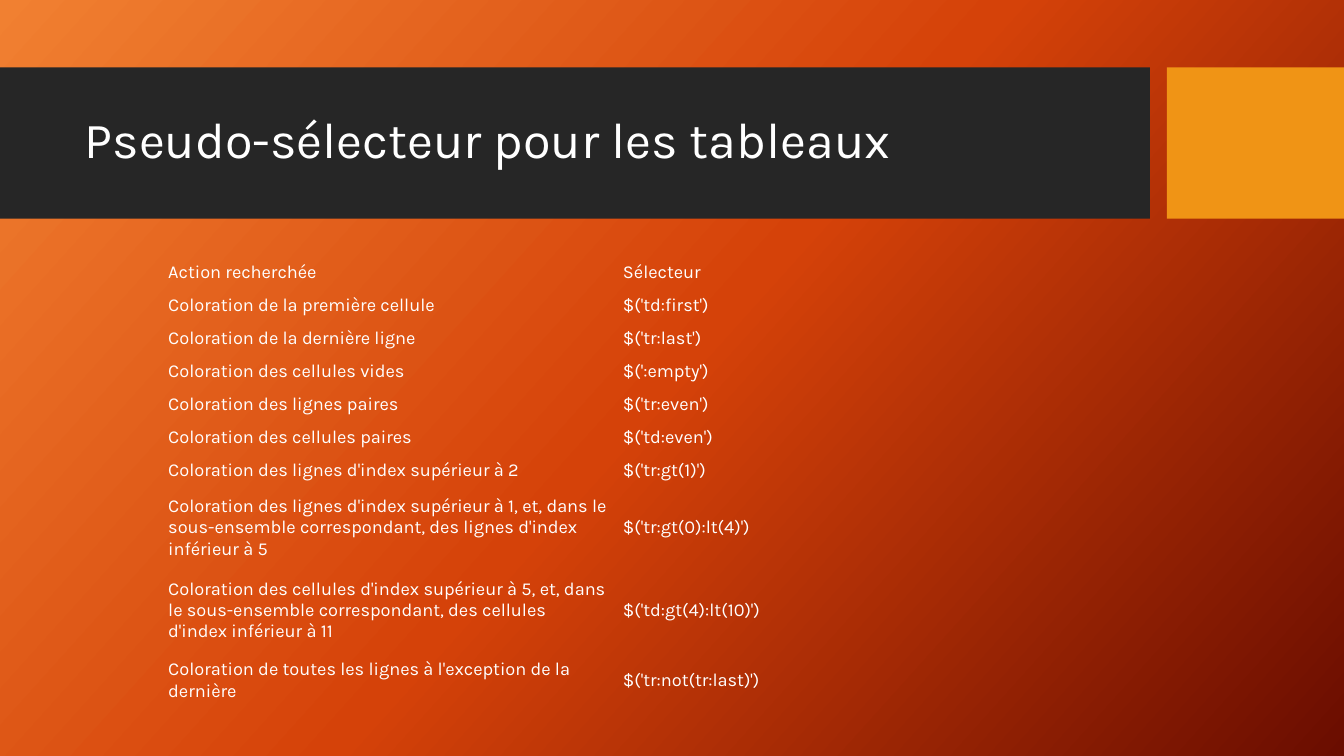
from copy import deepcopy
from dataclasses import dataclass

from pptx import Presentation
from pptx.dml.color import RGBColor
from pptx.enum.shapes import MSO_SHAPE
from pptx.enum.text import MSO_ANCHOR, PP_ALIGN
from pptx.oxml.ns import qn
from pptx.util import Cm, Pt

RECT = MSO_SHAPE.RECTANGLE
MIDDLE = MSO_ANCHOR.MIDDLE
LEFT = PP_ALIGN.LEFT
NO_GRID = "{2D5ABB26-0587-4C30-8999-92F81FD0307C}"


@dataclass(frozen=True)
class Theme:
    font: str = "Karla"
    ink: str = "FFFFFF"
    band: str = "262626"
    accent: str = "F09415"
    back: tuple = ((0, "F18031"), (0.5, "D54209"), (1, "6A0D00"))
    angle: int = 42
    head: int = 36
    body: int = 13


def write(frame, text, font, size, color, spacing=1.0):
    frame.word_wrap = True
    frame.vertical_anchor = MIDDLE
    para = frame.paragraphs[0]
    para.alignment = LEFT
    para.line_spacing = spacing
    run = para.add_run()
    run.text = text
    run.font.name = font
    run.font.size = Pt(size)
    run.font.color.rgb = RGBColor.from_string(color)


class Page:
    def __init__(self, slide, theme):
        self.slide = slide
        self.theme = theme

    def backdrop(self):
        fill = self.slide.background.fill
        fill.gradient()
        fill.gradient_angle = 360 - self.theme.angle
        stops = self.slide.element.find(".//" + qn("a:gsLst"))
        stops.append(deepcopy(stops[0]))
        for stop, (place, color) in zip(fill.gradient_stops, self.theme.back):
            stop.position = place
            stop.color.rgb = RGBColor.from_string(color)

    def bar(self, left, top, width, height, color):
        shape = self.slide.shapes.add_shape(RECT, Cm(left), Cm(top), Cm(width), Cm(height))
        shape.shadow.inherit = False
        shape.fill.solid()
        shape.fill.fore_color.rgb = RGBColor.from_string(color)
        shape.line.fill.background()

    def title(self, text, left, top, width, height):
        shape = self.slide.shapes.title
        shape.left, shape.top = Cm(left), Cm(top)
        shape.width, shape.height = Cm(width), Cm(height)
        write(shape.text_frame, text, font=self.theme.font, size=self.theme.head,
              color=self.theme.ink, spacing=0.9)
        self.slide.shapes.element.append(shape.element)

    def table(self, rows, left, top, width, heights):
        frame = self.slide.shapes.add_table(
            len(rows), len(rows[0]), Cm(left), Cm(top), Cm(width), Cm(sum(heights)))
        frame.element.find(".//" + qn("a:tableStyleId")).text = NO_GRID
        table = frame.table
        table.first_row = table.horz_banding = False
        for row, height, texts in zip(table.rows, heights, rows):
            row.height = Cm(height)
            for cell, text in zip(row.cells, texts):
                cell.fill.background()
                cell.vertical_anchor = MIDDLE
                cell.margin_left = cell.margin_right = Cm(0.18)
                cell.margin_top = cell.margin_bottom = Cm(0.09)
                write(cell.text_frame, text, font=self.theme.font,
                      size=self.theme.body, color=self.theme.ink)


ROWS = [
    ("Action recherchée", "Sélecteur"),
    ("Coloration de la première cellule", "$('td:first')"),
    ("Coloration de la dernière ligne", "$('tr:last')"),
    ("Coloration des cellules vides", "$(':empty')"),
    ("Coloration des lignes paires", "$('tr:even')"),
    ("Coloration des cellules paires", "$('td:even')"),
    ("Coloration des lignes d'index supérieur à 2", "$('tr:gt(1)')"),
    ("Coloration des lignes d'index supérieur à 1, et, dans le sous-ensemble "
     "correspondant, des lignes d'index inférieur à 5", "$('tr:gt(0):lt(4)')"),
    ("Coloration des cellules d'index supérieur à 5, et, dans le sous-ensemble "
     "correspondant, des cellules d'index inférieur à 11", "$('td:gt(4):lt(10)')"),
    ("Coloration de toutes les lignes à l'exception de la dernière",
     "$('tr:not(tr:last)')"),
]
HEIGHTS = [0.83] * 7 + [2.08] * 2 + [1.45]

deck = Presentation()
deck.slide_width, deck.slide_height = Cm(33.87), Cm(19.05)
theme = Theme()
page = Page(deck.slides.add_slide(deck.slide_layouts[5]), theme)
page.backdrop()
page.bar(0, 1.7, 28.98, 3.81, theme.band)
page.bar(29.41, 1.7, 4.46, 3.81, theme.accent)
page.title("Pseudo-sélecteur pour les tableaux", 1.88, 2.08, 26.7, 3)
page.table(ROWS, 4.06, 6.45, 22.92, HEIGHTS)
deck.save("out.pptx")
